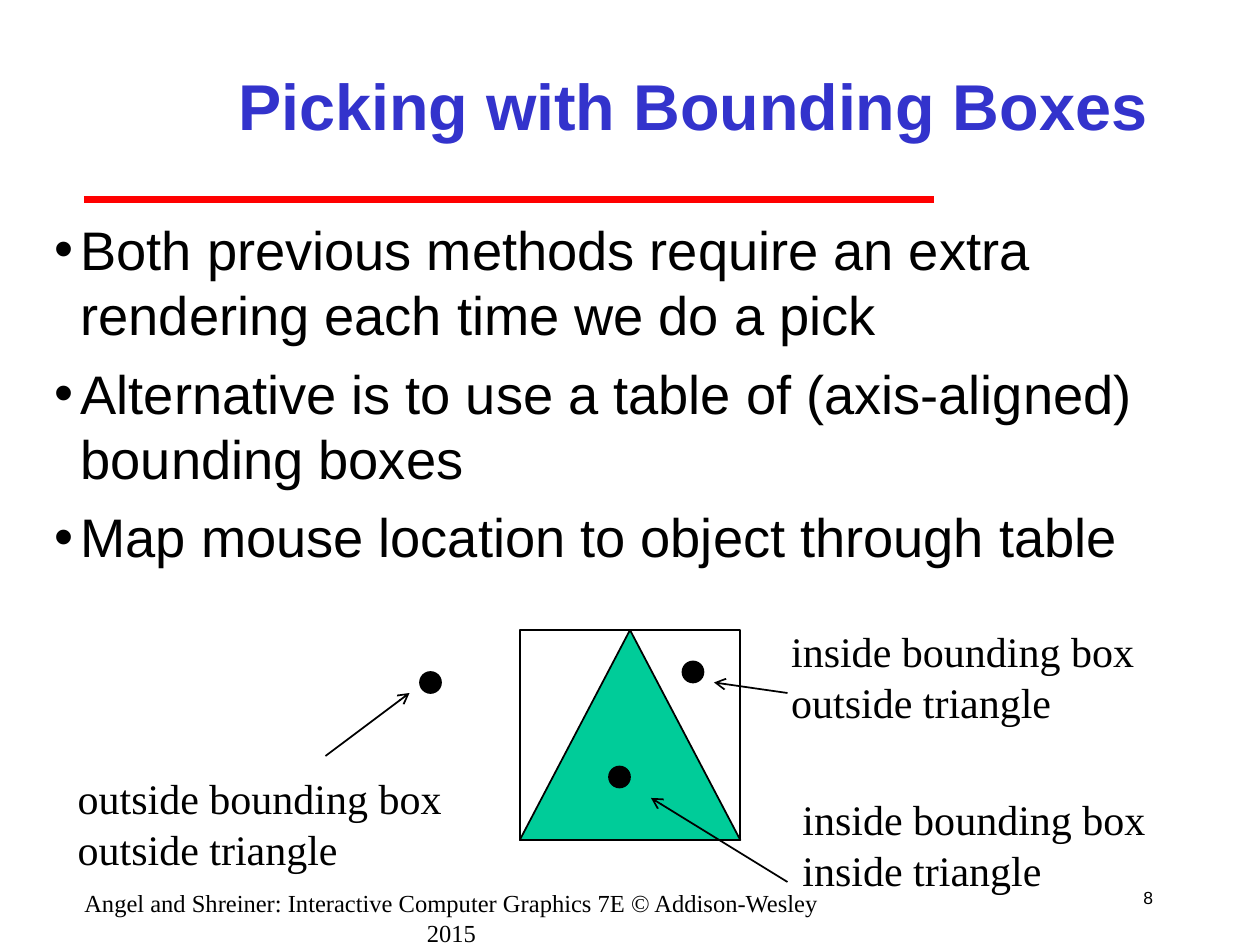
from dataclasses import dataclass

from lxml import etree
from pptx import Presentation
from pptx import util as u
from pptx.dml.color import RGBColor
from pptx.enum import shapes, text
from pptx.oxml import ns

Pt = u.Pt


@dataclass(frozen=True)
class Theme:
    """Colours, fonts and type sizes of the slide."""
    ink: str = "000000"
    title: str = "3333CC"
    rule: str = "FF0000"
    triangle: str = "00CC99"
    sans: str = "Arial"
    serif: str = "Times New Roman"
    title_size: int = 37
    body_size: int = 31
    label_size: int = 24
    footer_size: int = 14
    number_size: int = 10


T = Theme()
ALIGN = text.PP_ALIGN
ANCHOR = text.MSO_ANCHOR


def rgb(color):
    """Turn a hex string into a colour."""
    return RGBColor.from_string(color)


def place(sp, box):
    """Move and size a shape to a box in points."""
    sp.left, sp.top, sp.width, sp.height = (Pt(v) for v in box)


def add_run(p, words, size, font, color=T.ink, bold=False):
    """Add one formatted run to a paragraph."""
    r = p.add_run()
    r.text = words
    r.font.size, r.font.name, r.font.bold = Pt(size), font, bold
    r.font.color.rgb = rgb(color)


def add_text(s, box, lines, size, font, align=ALIGN.LEFT, anchor=ANCHOR.TOP):
    """Add a text box with one paragraph for each line."""
    tf = s.shapes.add_textbox(*(Pt(v) for v in box)).text_frame
    tf.word_wrap, tf.vertical_anchor = True, anchor
    for i, words in enumerate(lines):
        p = tf.add_paragraph() if i else tf.paragraphs[0]
        p.alignment = align
        add_run(p, words, size, font)
    return tf


def add_line(s, start, end, color, width, arrow=False):
    """Add a straight line, with an open arrowhead at its end on request."""
    sp = s.shapes.add_connector(shapes.MSO_CONNECTOR.STRAIGHT,
                                *(Pt(v) for v in (*start, *end)))
    sp.line.color.rgb, sp.line.width = rgb(color), Pt(width)
    if arrow:
        etree.SubElement(sp.line._get_or_add_ln(), ns.qn("a:tailEnd"),
                         type="arrow")
    etree.SubElement(sp._element.spPr, ns.qn("a:effectLst"))


def add_figure(s, kind, box, fill=None):
    """Add an outlined shape, filled on request."""
    sp = s.shapes.add_shape(kind, *(Pt(v) for v in box))
    sp.shadow.inherit = False
    if fill:
        sp.fill.solid()
        sp.fill.fore_color.rgb = rgb(fill)
    else:
        sp.fill.background()
    sp.line.color.rgb, sp.line.width = rgb(T.ink), Pt(1)


def add_title(s, box, words):
    """Fill the title placeholder and draw the rule under it."""
    x, y, w, h = box
    sp = s.shapes.title
    place(sp, box)
    tf = sp.text_frame
    tf.word_wrap, tf.vertical_anchor = True, ANCHOR.MIDDLE
    tf.auto_size = text.MSO_AUTO_SIZE.NONE
    p = tf.paragraphs[0]
    p.alignment = ALIGN.CENTER
    add_run(p, words, T.title_size, T.sans, T.title, True)
    add_line(s, (x - 36, y + 96), (x + 450, y + 96), T.rule, 4)


def add_bullets(s, box, lines):
    """Add the bulleted body text."""
    tf = add_text(s, box, lines, T.body_size, T.sans)
    for i, p in enumerate(tf.paragraphs):
        if i:
            p.space_before = Pt(7.7)
        pPr = p._p.get_or_add_pPr()
        pPr.set("marL", str(Pt(15)))
        pPr.set("indent", str(Pt(-15)))
        etree.SubElement(pPr, ns.qn("a:buFont"), typeface=T.sans)
        etree.SubElement(pPr, ns.qn("a:buChar"), char="•")


def add_diagram(s, box):
    """Draw a bounded triangle with three labelled test points."""
    x, y, w, h = box
    kinds = shapes.MSO_SHAPE
    square = (x + 261, y + 6, 126, 120)
    add_figure(s, kinds.ISOSCELES_TRIANGLE, square, T.triangle)
    add_figure(s, kinds.RECTANGLE, square)
    points = (
        ((312, 84), (415.5, 96), ("inside bounding box", "inside triangle"),
         (414, 150), (336, 102)),
        ((354, 24), (409, 0), ("inside bounding box", "outside triangle"),
         (414, 42), (372, 36)),
        ((204, 30), (1.3, 84), ("outside bounding box", "outside triangle"),
         (150, 78), (198, 42)),
    )
    for dot, label, lines, start, end in points:
        add_figure(s, kinds.OVAL, (x + dot[0], y + dot[1], 12, 12), T.ink)
        add_text(s, (x + label[0], y + label[1], 230, 65), lines,
                 T.label_size, T.serif)
        add_line(s, (x + start[0], y + start[1]), (x + end[0], y + end[1]),
                 T.ink, 1, arrow=True)


def add_footer(s, box, words, number):
    """Add the source line and the slide number."""
    x, y, w, h = box
    add_text(s, (x, y, 444, h), [words], T.footer_size, T.serif, ALIGN.CENTER)
    add_text(s, (x + w - 30, y - 6, 30, 30), [number], T.number_size, T.sans,
             ALIGN.RIGHT, ANCHOR.MIDDLE)


def main():
    """Build and save the slide."""
    prs = Presentation()
    prs.slide_width, prs.slide_height = Pt(720), Pt(540)
    s = prs.slides.add_slide(prs.slide_layouts[5])
    add_title(s, (84, 18, 624, 84), "Picking with Bounding Boxes")
    add_bullets(s, (24, 120, 654, 372), (
        "Both previous methods require an extra rendering each time we do a pick",
        "Alternative is to use a table of (axis-aligned) bounding boxes",
        "Map mouse location to object through table",
    ))
    add_diagram(s, (36, 354, 630, 162))
    add_footer(s, (36, 504, 630, 18),
               "Angel and Shreiner: Interactive Computer Graphics 7E "
               "© Addison-Wesley 2015", "8")
    prs.save("out.pptx")


if __name__ == "__main__":
    main()
